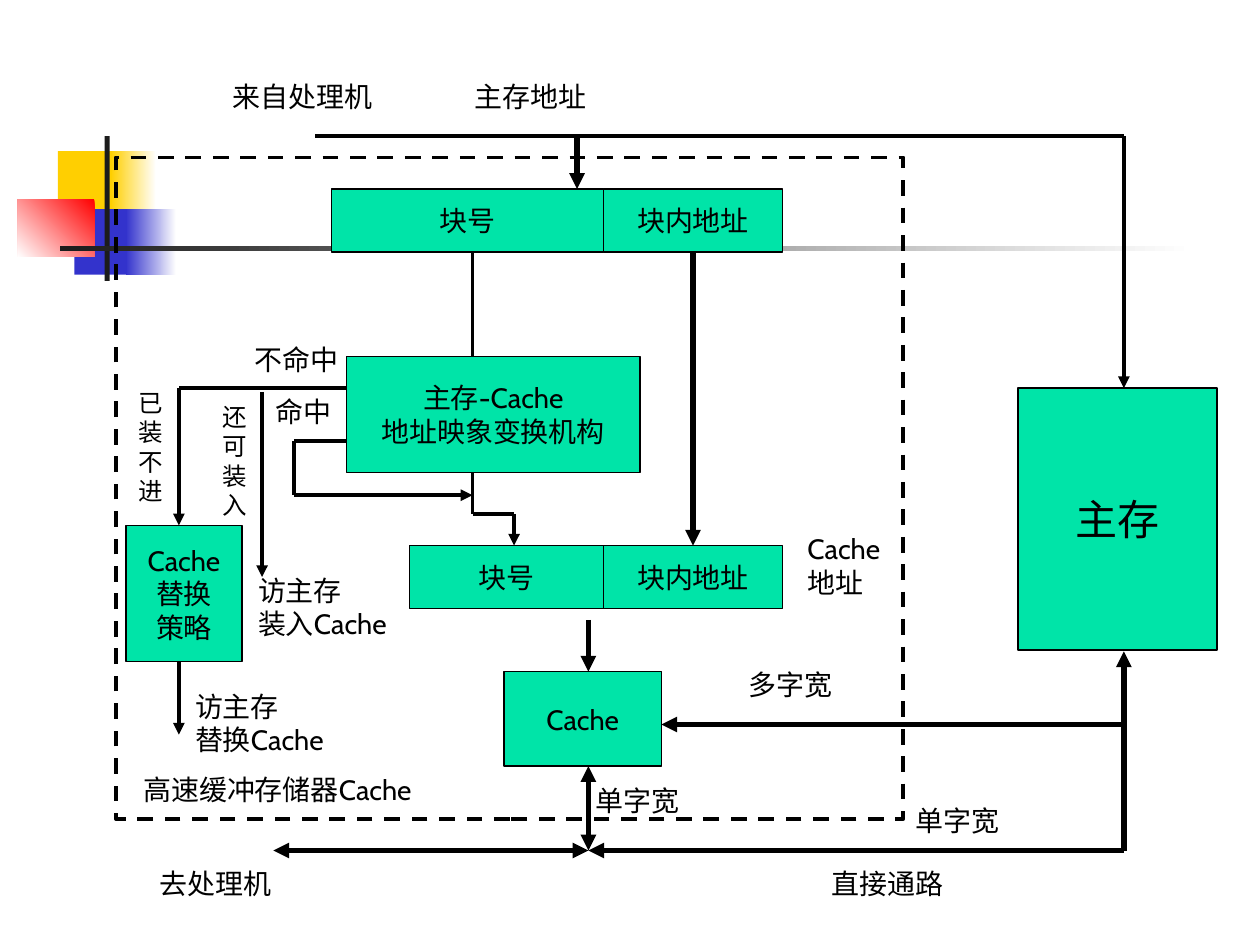
from itertools import pairwise

from lxml.etree import SubElement
from pptx import Presentation
from pptx.dml.color import RGBColor
from pptx.enum.dml import MSO_LINE
from pptx.enum.shapes import MSO_CONNECTOR, MSO_SHAPE
from pptx.enum.text import MSO_ANCHOR, MSO_AUTO_SIZE, PP_ALIGN
from pptx.oxml.ns import qn
from pptx.util import Cm, Pt

INK = {
    "black": "000000", "white": "FFFFFF", "green": "00E4A8", "gold": "FFCF01",
    "blue": "3333CC", "red": "FF0000", "dark": "1C1C1C",
}
FONT = "Cabin"

DECOR = [
    (0.46, 1.2, 0.48, 0.52, ["gold"], 0),
    (0.88, 1.2, 0.36, 0.52, ["white", "gold"], 180),
    (0.59, 1.66, 0.46, 0.52, ["blue"], 0),
    (1, 1.66, 0.4, 0.52, ["white", "blue"], 180),
    (0.14, 1.58, 0.61, 0.46, ["red", "white"], 225),
    (0.83, 1.08, 0.04, 1.15, ["dark"], 0),
    (0.48, 1.95, 9, 0.04, ["white", "dark"], 180),
]
BOXES = [
    (2.63, 1.5, 2.16, 0.5, "块号", 16),
    (4.79, 1.5, 1.42, 0.5, "块内地址", 16),
    (2.75, 2.83, 2.33, 0.92, "主存-Cache\n地址映象变换机构", 16),
    (3.25, 4.33, 1.54, 0.5, "块号", 16),
    (4.79, 4.33, 1.42, 0.5, "块内地址", 16),
    (4, 5.33, 1.25, 0.75, "Cache", 16),
    (8.08, 3.08, 1.58, 2.08, "主存", 24),
    (1, 4.17, 0.92, 1.08, "Cache\n替换\n策略", 16),
]
PATHS = [
    ([(5.5, 2), (5.5, 4.33)], 3, "tail"),
    ([(3.75, 2), (3.75, 2.83)], 2.25, ""),
    ([(3.75, 3.75), (3.75, 4.08), (4.08, 4.08), (4.08, 4.33)], 2.25, "tail"),
    ([(2.5, 1.08), (8.92, 1.08), (8.92, 3.08)], 2.25, "tail"),
    ([(4.58, 1.08), (4.58, 1.5)], 3, "tail"),
    ([(2.75, 3.08), (1.42, 3.08), (1.42, 4.17)], 2.25, "tail"),
    ([(2.08, 3.11), (2.08, 4.58)], 2.25, "tail"),
    ([(2.75, 3.5), (2.33, 3.5), (2.33, 3.93), (3.75, 3.93)], 2.25, "tail"),
    ([(4.67, 4.92), (4.67, 5.33)], 3, "tail"),
    ([(8.92, 6.75), (8.92, 5.17)], 3, "tail"),
    ([(8.92, 5.75), (5.25, 5.75)], 3, "tail"),
    ([(4.67, 6.08), (4.67, 6.75)], 3, "head tail"),
    ([(8.92, 6.75), (4.67, 6.75)], 3, "tail"),
    ([(4.67, 6.75), (2.17, 6.75)], 3, "head tail"),
    ([(1.42, 5.25), (1.42, 5.83)], 2.25, "tail"),
]
LABELS = [
    (1.75, 0.58, 1.33, 0.37, "来自处理机", 16),
    (3.67, 0.58, 1.11, 0.37, "主存地址", 16),
    (6.31, 4.17, 0.85, 0.64, "Cache\n地址", 16),
    (1.45, 5.42, 1.35, 0.64, "访主存\n替换Cache", 16),
    (1.95, 4.5, 1.35, 0.64, "访主存\n装入Cache", 16),
    (1.17, 6.83, 1.11, 0.37, "去处理机", 16),
    (6.5, 6.83, 1.11, 0.37, "直接通路", 16),
    (4.63, 6.17, 0.89, 0.37, "单字宽", 16),
    (5.84, 5.25, 0.89, 0.37, "多字宽", 16),
    (7.17, 6.33, 0.89, 0.37, "单字宽", 16),
    (1, 3.03, 0.4, 1.04, "已\n装\n不\n进", 14),
    (1.67, 3.14, 0.4, 1.04, "还\n可\n装\n入", 14),
    (1.92, 2.67, 0.89, 0.37, "不命中", 16),
    (2.09, 3.08, 0.66, 0.37, "命中", 16),
    (1.04, 6.08, 2.46, 0.37, "高速缓冲存储器Cache", 16),
]
FRAME = (0.92, 1.25, 6.25, 5.25)


def size(*vals):
    return [Cm(val * 2.54) for val in vals]


def tint(name):
    return RGBColor.from_string(INK[name])


def write(frame, text, size=16, align=PP_ALIGN.LEFT, anchor=MSO_ANCHOR.TOP,
          fit=MSO_AUTO_SIZE.NONE):
    frame.auto_size = fit
    frame.word_wrap = False
    frame.vertical_anchor = anchor
    frame.text = text
    for para in frame.paragraphs:
        para.alignment = align
        for run in para.runs:
            run.font.size = Pt(size)
            run.font.name = FONT
            run.font.color.rgb = tint("black")


def block(slide, area, fills=(), angle=0, width=0):
    shape = slide.shapes.add_shape(MSO_SHAPE.RECTANGLE, *size(*area))
    shape.shadow.inherit = False
    if len(fills) == 2:
        shape.fill.gradient()
        shape.fill.gradient_angle = angle
        for stop, name in zip(shape.fill.gradient_stops, fills):
            stop.color.rgb = tint(name)
    elif fills:
        shape.fill.solid()
        shape.fill.fore_color.rgb = tint(fills[0])
    else:
        shape.fill.background()
    if width:
        shape.line.color.rgb = tint("black")
        shape.line.width = Pt(width)
    else:
        shape.line.fill.background()
    return shape


def link(slide, start, end, width, ends):
    line = slide.shapes.add_connector(MSO_CONNECTOR.STRAIGHT, *size(*start, *end))
    line.line.color.rgb = tint("black")
    line.line.width = Pt(width)
    props = line._element.spPr
    for side in ends:
        SubElement(props.find(qn("a:ln")), qn(f"a:{side}End"), type="triangle")
    SubElement(props, qn("a:effectLst"))


def main():
    """Build the cache structure diagram slide."""
    deck = Presentation()
    deck.slide_width, deck.slide_height = size(10, 7.5)
    slide = deck.slides.add_slide(deck.slide_layouts[6])
    for *area, fills, angle in DECOR:
        block(slide, area, fills, angle)
    for *area, text, points in BOXES:
        shape = block(slide, area, ["green"], width=0.75)
        write(shape.text_frame, text, size=points, align=PP_ALIGN.CENTER,
              anchor=MSO_ANCHOR.MIDDLE)
    for spots, width, ends in PATHS:
        for start, end in pairwise(spots):
            last = end == spots[-1]
            link(slide, start, end, width, ends.split() if last else [])
    block(slide, FRAME, width=2.25).line.dash_style = MSO_LINE.DASH
    for *area, text, points in LABELS:
        label = slide.shapes.add_textbox(*size(*area))
        write(label.text_frame, text, size=points,
              fit=MSO_AUTO_SIZE.SHAPE_TO_FIT_TEXT)
    deck.save("out.pptx")


if __name__ == "__main__":
    main()
